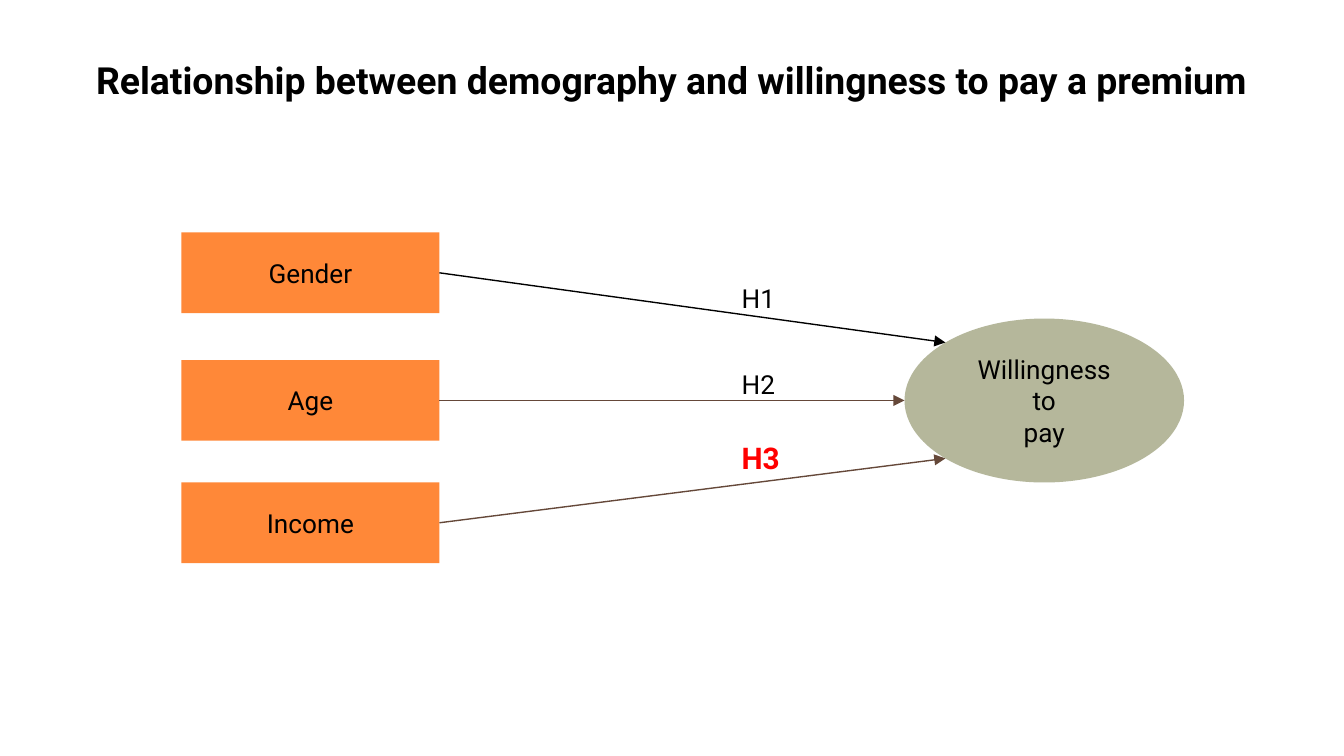
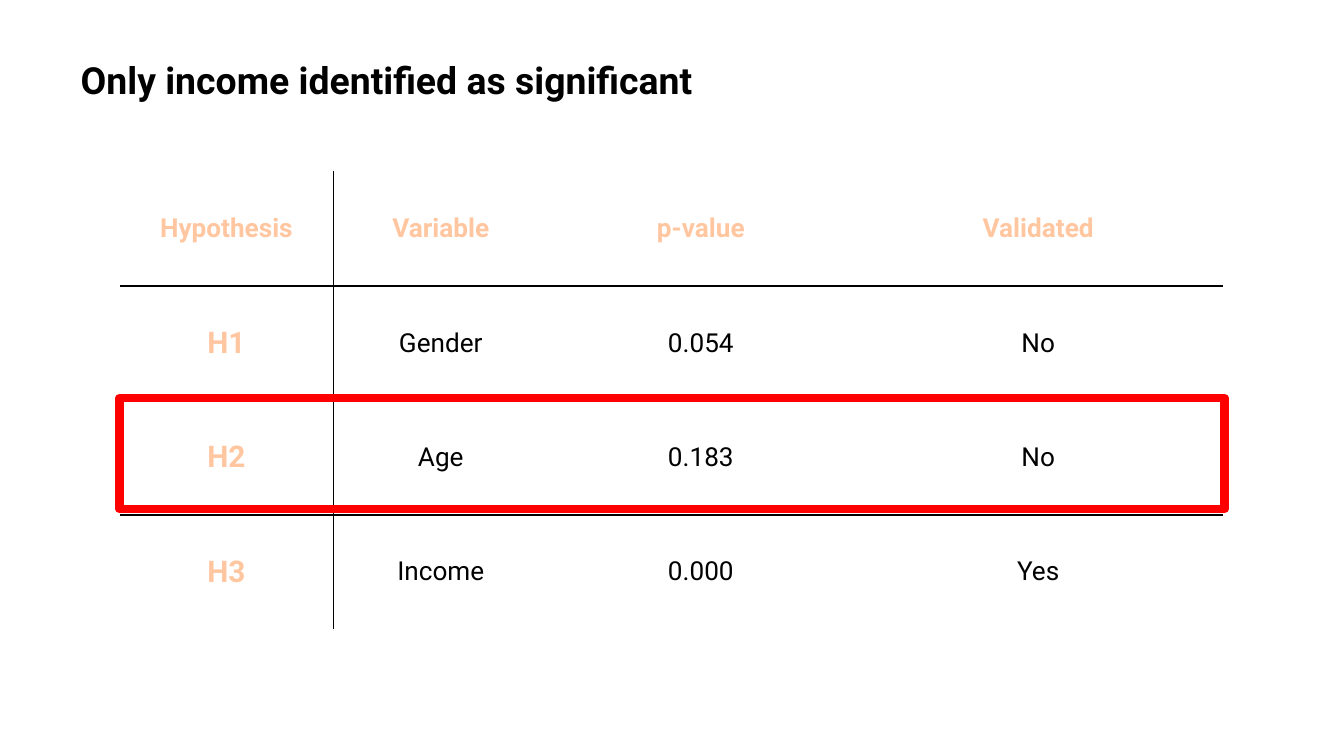
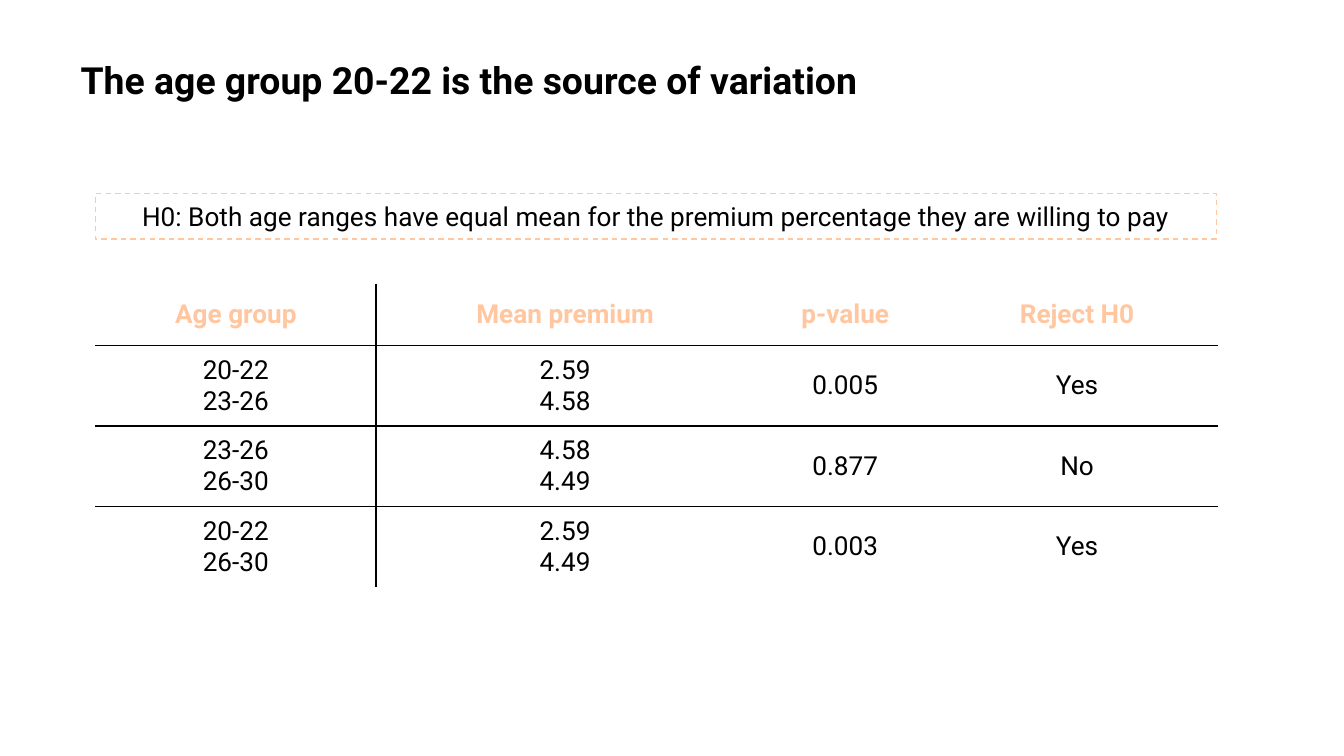
from dataclasses import dataclass
from math import cos, pi, sin

from lxml import etree
from pptx import Presentation
from pptx.dml.color import RGBColor
from pptx.enum.dml import MSO_LINE
from pptx.enum.shapes import MSO_CONNECTOR, MSO_SHAPE
from pptx.enum.text import MSO_ANCHOR, MSO_AUTO_SIZE, PP_ALIGN
from pptx.oxml.ns import qn
from pptx.util import Inches, Pt

LEFT, CENTER = PP_ALIGN.LEFT, PP_ALIGN.CENTER
MIDDLE = MSO_ANCHOR.MIDDLE
FIT_SHAPE, NO_FIT = MSO_AUTO_SIZE.SHAPE_TO_FIT_TEXT, MSO_AUTO_SIZE.NONE
RECTANGLE, NODE = MSO_SHAPE.RECTANGLE, MSO_SHAPE.FLOWCHART_CONNECTOR
STRAIGHT, DASH = MSO_CONNECTOR.STRAIGHT, MSO_LINE.DASH
RIGHT_SIDE = 3
TITLE_ONLY = 5
SLIDE_WIDTH = 10
SLIDE_HEIGHT = SLIDE_WIDTH * 9 / 16


@dataclass(frozen=True)
class Theme:
    font: str = "Roboto"
    black: str = "000000"
    orange: str = "FF8838"
    peach: str = "FFC6A0"
    sage: str = "B5B79B"
    brown: str = "654839"
    red: str = "FF0000"
    title_size: int = 20
    label_size: int = 16
    body_size: int = 14
    thin: float = 0.75
    rule: float = 1
    heavy: float = 4.5


THEME = Theme()


def rgb(color):
    return RGBColor.from_string(color)


def box(left, top, width, height):
    return [Inches(length) for length in (left, top, width, height)]


def write(frame, text, size=THEME.body_size, color=THEME.black, bold=False,
          align=CENTER):
    """Fill a text frame, one paragraph for each line of text."""
    for number, line in enumerate(text.split("\n")):
        paragraph = frame.add_paragraph() if number else frame.paragraphs[0]
        paragraph.alignment = align
        run = paragraph.add_run()
        run.text = line
        run.font.name = THEME.font
        run.font.size = Pt(size)
        run.font.bold = bold
        run.font.color.rgb = rgb(color)


def add_titled_slide(deck, text, align=LEFT):
    slide = deck.slides.add_slide(deck.slide_layouts[TITLE_ONLY])
    title = slide.shapes.title
    title.left, title.top, title.width, title.height = box(0.5, 0.28, 9, 0.63)
    frame = title.text_frame
    frame.word_wrap = True
    frame.auto_size = NO_FIT
    frame.vertical_anchor = MIDDLE
    frame.margin_left = frame.margin_right = Inches(0.1)
    frame.margin_top = frame.margin_bottom = Inches(0.1)
    write(frame, text, THEME.title_size, bold=True, align=align)
    return slide


def add_block(slide, kind, place, text="", fill=None, line=None, weight=None):
    block = slide.shapes.add_shape(kind, *box(*place))
    block.shadow.inherit = False
    if fill:
        block.fill.solid()
        block.fill.fore_color.rgb = rgb(fill)
    else:
        block.fill.background()
    if line:
        block.line.color.rgb = rgb(line)
        block.line.width = Pt(weight)
    else:
        block.line.fill.background()
    if text:
        block.text_frame.word_wrap = True
        block.text_frame.vertical_anchor = MIDDLE
        write(block.text_frame, text)
    return block


def add_arrow(slide, source, end_x, end_y, color):
    """Draw an arrow from the right side of source to a point in inches."""
    arrow = slide.shapes.add_connector(
        STRAIGHT, source.left + source.width, source.top + source.height // 2,
        Inches(end_x), Inches(end_y))
    arrow.begin_connect(source, RIGHT_SIDE)
    arrow.line.color.rgb = rgb(color)
    arrow.line.width = Pt(THEME.thin)
    line = arrow.line._get_or_add_ln()
    etree.SubElement(line, qn("a:tailEnd"), type="triangle")
    etree.SubElement(arrow._element.spPr, qn("a:effectLst"))


def add_label(slide, top, text, **style):
    label = slide.shapes.add_textbox(*box(5.42, top, 0.84, 0.34))
    label.text_frame.word_wrap = True
    label.text_frame.auto_size = FIT_SHAPE
    write(label.text_frame, text, align=LEFT, **style)


def set_borders(cell, ruled_sides):
    """Rule the sides named in ruled_sides (L, R, T, B) and clear the rest."""
    properties = cell._tc.get_or_add_tcPr()
    for index, side in enumerate("LRTB"):
        border = etree.Element(qn(f"a:ln{side}"), w=str(Pt(THEME.rule)))
        if side in ruled_sides:
            fill = etree.SubElement(border, qn("a:solidFill"))
            etree.SubElement(fill, qn("a:srgbClr"), val=THEME.black)
        else:
            etree.SubElement(border, qn("a:noFill"))
        properties.insert(index, border)


def add_ruled_table(slide, left, top, widths, heights, rows, row_heads=False):
    """Add a table ruled between its rows and after its first column."""
    place = box(left, top, sum(widths), sum(heights))
    table = slide.shapes.add_table(len(rows), len(widths), *place).table
    table.first_row = table.horz_banding = False
    for column, width in zip(table.columns, widths):
        column.width = Inches(width)
    for row, height in zip(table.rows, heights):
        row.height = Inches(height)

    last_row = len(rows) - 1
    for r, texts in enumerate(rows):
        for c, text in enumerate(texts):
            cell = table.cell(r, c)
            cell.fill.background()
            cell.vertical_anchor = MIDDLE
            is_row_head = row_heads and r > 0 and c == 0
            is_head = r == 0 or is_row_head
            write(cell.text_frame, text,
                  THEME.label_size if is_row_head else THEME.body_size,
                  THEME.peach if is_head else THEME.black, is_head)
            sides = {0: "R", 1: "L"}.get(c, "")
            sides += "T" if r > 0 else ""
            sides += "B" if r < last_row else ""
            set_borders(cell, sides)


def build_model_slide(deck):
    slide = add_titled_slide(
        deck, "Relationship between demography and willingness to pay a premium",
        CENTER)
    factors = [add_block(slide, RECTANGLE, (1.35, top, 1.92, 0.6), name,
                         fill=THEME.orange)
               for name, top in (("Gender", 1.73), ("Age", 2.68), ("Income", 3.59))]

    left, top, width, height = outcome_place = (6.73, 2.37, 2.08, 1.22)
    add_block(slide, NODE, outcome_place, "Willingness\nto\npay", fill=THEME.sage)

    arrow_styles = ((-pi / 4, THEME.black), (0, THEME.brown), (pi / 4, THEME.brown))
    for factor, (angle, color) in zip(factors, arrow_styles):
        end_x = left + width / 2 * (1 - cos(angle))
        end_y = top + height / 2 * (1 + sin(angle))
        add_arrow(slide, factor, end_x, end_y, color)

    add_label(slide, 2.05, "H1")
    add_label(slide, 2.69, "H2")
    add_label(slide, 3.22, "H3", size=THEME.label_size, color=THEME.red, bold=True)


def build_hypotheses_slide(deck):
    slide = add_titled_slide(deck, "Only income identified as significant")
    add_ruled_table(
        slide, 0.89, 1.27, (1.59, 1.6, 2.27, 2.75), (0.86, 0.85, 0.85, 0.85),
        (("Hypothesis", "Variable", "p-value", "Validated"),
         ("H1", "Gender", "0.054", "No"),
         ("H2", "Age", "0.183", "No"),
         ("H3", "Income", "0.000", "Yes")),
        row_heads=True)
    add_block(slide, RECTANGLE, (0.89, 2.96, 8.22, 0.83),
              line=THEME.red, weight=THEME.heavy)


def build_age_groups_slide(deck):
    slide = add_titled_slide(deck, "The age group 20-22 is the source of variation")
    add_ruled_table(
        slide, 0.71, 2.11, (2.09, 2.81, 1.36, 2.09), (0.46, 0.6, 0.6, 0.6),
        (("Age group", "Mean premium", "p-value", "Reject H0"),
         ("20-22\n23-26", "2.59\n4.58", "0.005", "Yes"),
         ("23-26\n26-30", "4.58\n4.49", "0.877", "No"),
         ("20-22\n26-30", "2.59\n4.49", "0.003", "Yes")))
    null_hypothesis = add_block(
        slide, RECTANGLE, (0.71, 1.44, 8.34, 0.34),
        "H0: Both age ranges have equal mean for the premium percentage "
        "they are willing to pay",
        line=THEME.peach, weight=THEME.thin)
    null_hypothesis.line.dash_style = DASH


def main():
    deck = Presentation()
    deck.slide_width, deck.slide_height = Inches(SLIDE_WIDTH), Inches(SLIDE_HEIGHT)
    build_model_slide(deck)
    build_hypotheses_slide(deck)
    build_age_groups_slide(deck)
    deck.save("out.pptx")


if __name__ == "__main__":
    main()
